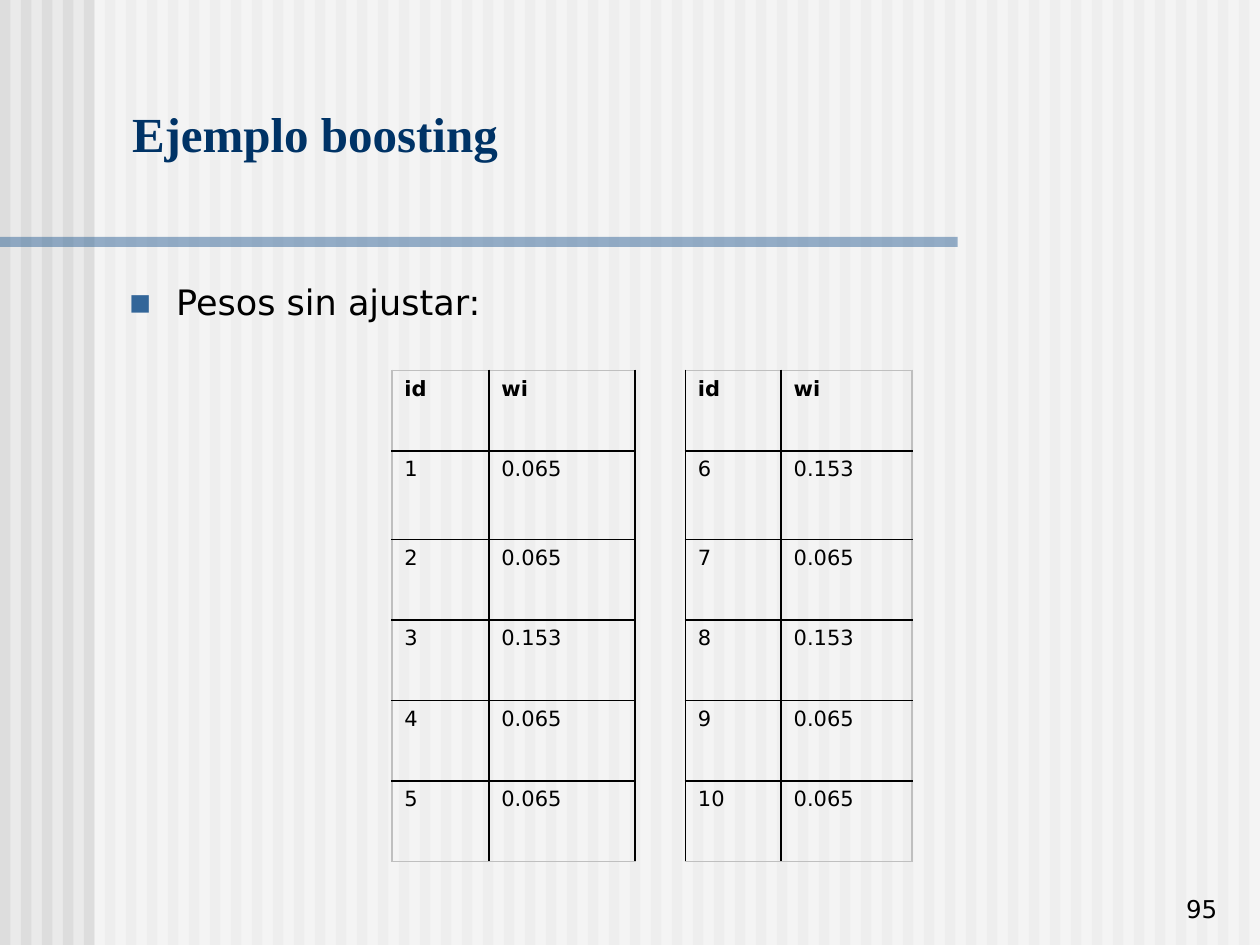
"""Build the boosting example slide with its table of unadjusted weights."""
import dataclasses

import pptx
import pptx.dml.color
import pptx.enum.shapes
import pptx.enum.text
import pptx.oxml
import pptx.oxml.ns
import pptx.util
from pptx.util import Inches


@dataclasses.dataclass(frozen=True)
class Theme:
    background: str = "EAEAEA"
    stripe: str = "DDDDDD"
    panel: str = "FFFFFF"
    accent: str = "336699"
    title: str = "003366"
    text: str = "000000"
    outer_border: str = "BFBFBF"
    title_font: str = "Times New Roman"
    body_font: str = "DejaVu Sans"
    title_size: int = 28
    body_size: int = 20
    number_size: int = 14
    table_size: int = 12


theme = Theme()
namespace = pptx.oxml.ns.nsdecls("a")


def add_rectangle(left, top, width, height, color, opacity=100):
    shape = slide.shapes.add_shape(
        pptx.enum.shapes.MSO_SHAPE.RECTANGLE,
        Inches(left), Inches(top), Inches(width), Inches(height))
    shape.shadow.inherit = False
    shape.line.fill.background()
    shape.fill.solid()
    shape.fill.fore_color.rgb = pptx.dml.color.RGBColor.from_string(color)
    if opacity < 100:
        color_element = shape.fill._xPr.find(".//" + pptx.oxml.ns.qn("a:srgbClr"))
        color_element.append(pptx.oxml.parse_xml(
            f'<a:alpha {namespace} val="{opacity * 1000}"/>'))


def style_paragraph(paragraph, text, size, color=theme.text, font=theme.body_font, bold=False):
    paragraph.text = text
    paragraph.font.name = font
    paragraph.font.size = pptx.util.Pt(size)
    paragraph.font.bold = bold
    paragraph.font.color.rgb = pptx.dml.color.RGBColor.from_string(color)


presentation = pptx.Presentation()
presentation.slide_width = Inches(10)
presentation.slide_height = Inches(7.5)
slide = presentation.slides.add_slide(presentation.slide_layouts[6])
slide.background.fill.solid()
slide.background.fill.fore_color.rgb = pptx.dml.color.RGBColor.from_string(theme.background)

for index in range(60):
    add_rectangle(index / 6, 0, 1 / 12, 7.5, theme.stripe)
add_rectangle(0.75, 0, 9.25, 7.5, theme.panel, 50)
add_rectangle(0, 1.88, 7.6, 0.08, theme.accent, 50)

title_box = slide.shapes.add_textbox(Inches(0.95), Inches(0.74), Inches(8.93), Inches(1.03))
title_box.text_frame.word_wrap = True
title_box.text_frame.margin_top = Inches(0.08)
style_paragraph(title_box.text_frame.paragraphs[0], "Ejemplo boosting",
                theme.title_size, theme.title, theme.title_font, True)

body_box = slide.shapes.add_textbox(Inches(0.92), Inches(2.18), Inches(8.42), Inches(0.44))
body_box.text_frame.word_wrap = True
body_paragraph = body_box.text_frame.paragraphs[0]
style_paragraph(body_paragraph, "Pesos sin ajustar:", theme.body_size)
body_paragraph.alignment = pptx.enum.text.PP_ALIGN.JUSTIFY
body_paragraph.space_after = pptx.util.Pt(6)
properties = body_paragraph._p.get_or_add_pPr()
properties.set("marL", str(Inches(0.38)))
properties.set("indent", str(-Inches(0.38)))
bullet_parts = (
    f'<a:buClr {namespace}><a:srgbClr val="{theme.accent}"/></a:buClr>',
    f'<a:buFont {namespace} typeface="{theme.body_font}"/>',
    f'<a:buChar {namespace} char="▪"/>',
)
default_run = properties.find(pptx.oxml.ns.qn("a:defRPr"))
for part in bullet_parts:
    default_run.addprevious(pptx.oxml.parse_xml(part))

number_box = slide.shapes.add_textbox(Inches(7.68), Inches(6.88), Inches(2.08), Inches(0.5))
number_box.text_frame.word_wrap = True
number_box.text_frame.vertical_anchor = pptx.enum.text.MSO_ANCHOR.BOTTOM
number_paragraph = number_box.text_frame.paragraphs[0]
style_paragraph(number_paragraph, "95", theme.number_size)
number_paragraph.alignment = pptx.enum.text.PP_ALIGN.RIGHT

rows = [
    ("id", "wi", "", "id", "wi"),
    ("1", "0.065", "", "6", "0.153"),
    ("2", "0.065", "", "7", "0.065"),
    ("3", "0.153", "", "8", "0.153"),
    ("4", "0.065", "", "9", "0.065"),
    ("5", "0.065", "", "10", "0.065"),
]
column_widths = (0.77, 1.16, 0.4, 0.76, 1.04)
row_heights = (0.64, 0.7, 0.64, 0.64, 0.64, 0.64)
gap_column = 2
last_row = len(rows) - 1
last_column = len(column_widths) - 1

table = slide.shapes.add_table(
    len(rows), len(column_widths), Inches(3.11), Inches(2.94),
    Inches(sum(column_widths)), Inches(sum(row_heights))).table
for column, width in zip(table.columns, column_widths):
    column.width = Inches(width)
for row, height in zip(table.rows, row_heights):
    row.height = Inches(height)

for row_index, values in enumerate(rows):
    for column_index, value in enumerate(values):
        cell = table.cell(row_index, column_index)
        style_paragraph(cell.text_frame.paragraphs[0], value,
                        theme.table_size, bold=row_index == 0)
        outer_sides = {
            "L": column_index == 0,
            "R": column_index == last_column,
            "T": row_index == 0,
            "B": row_index == last_row,
        }
        cell_properties = cell._tc.get_or_add_tcPr()
        for side, is_outer in outer_sides.items():
            color = theme.outer_border if is_outer else theme.text
            line_fill = f'<a:solidFill><a:srgbClr val="{color}"/></a:solidFill>'
            if column_index == gap_column and side in "TB":
                line_fill = "<a:noFill/>"
            cell_properties.append(pptx.oxml.parse_xml(
                f'<a:ln{side} {namespace} w="{pptx.util.Pt(1)}">{line_fill}</a:ln{side}>'))
        cell.fill.background()

presentation.save("out.pptx")
